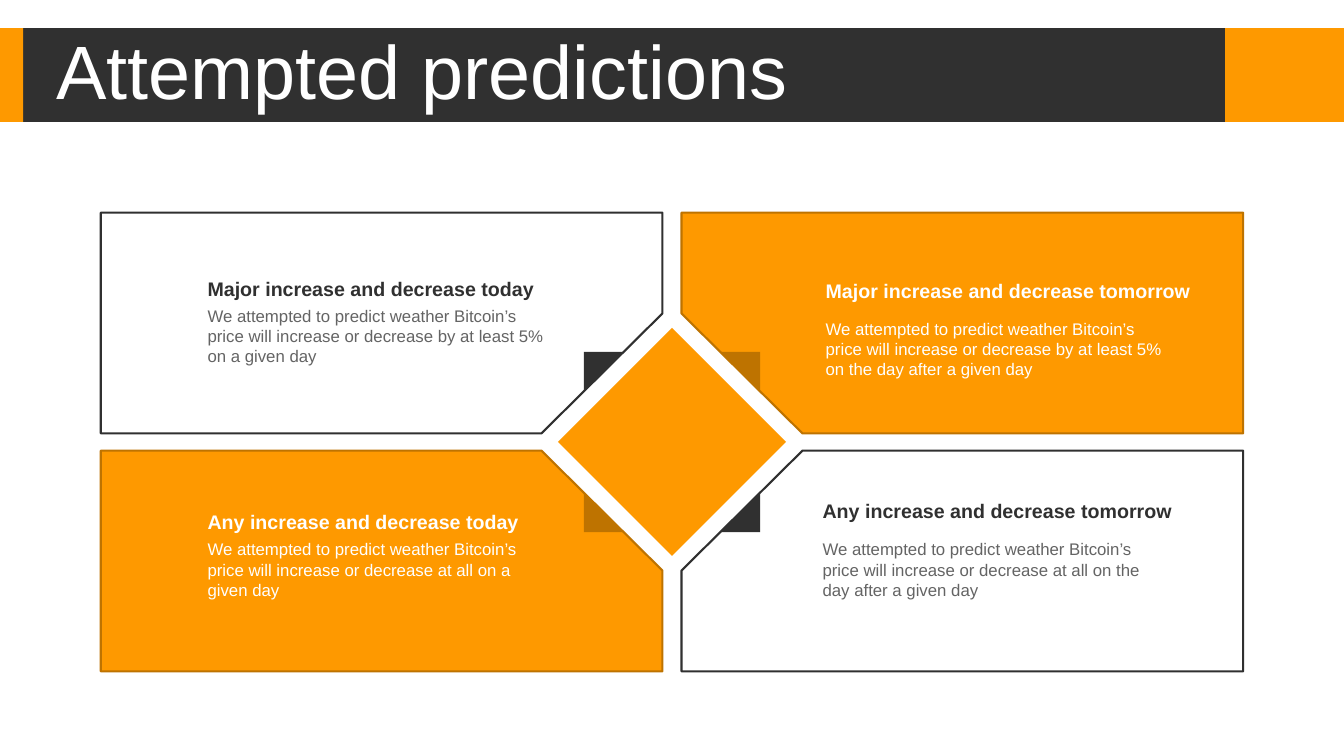
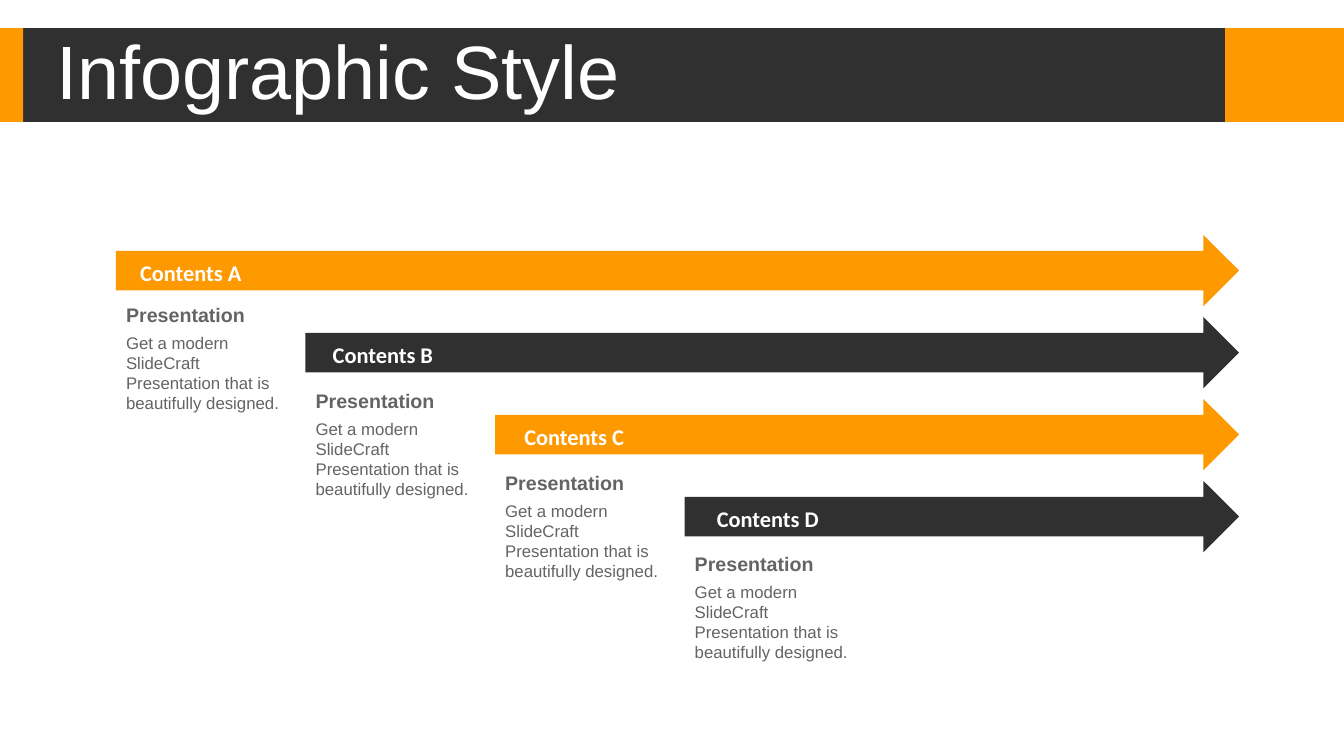
from dataclasses import dataclass

from pptx import Presentation
from pptx.dml.color import RGBColor
from pptx.enum.shapes import MSO_SHAPE
from pptx.enum.text import MSO_ANCHOR
from pptx.util import Inches, Pt

RECT = MSO_SHAPE.RECTANGLE
CORNER = MSO_SHAPE.RIGHT_TRIANGLE
ARROW = MSO_SHAPE.RIGHT_ARROW
TOP, MIDDLE = MSO_ANCHOR.TOP, MSO_ANCHOR.MIDDLE


@dataclass(frozen=True)
class Theme:
    orange: str = "FE9900"
    amber: str = "BE7300"
    dark: str = "303030"
    gray: str = "646464"
    white: str = "FFFFFF"
    font: str = "Arial"
    label_font: str = "Calibri"
    title: int = 54
    label: int = 16
    head: int = 14
    body: int = 12
    edge: float = 1.5


THEME = Theme()
WIDTH, HEIGHT = 13.33, 7.5

# Heading, body, text left, heading top and body top inside each panel.
PANELS = [
    ("Major increase and decrease today",
     "We attempted to predict weather Bitcoin’s price will increase or "
     "decrease by at least 5% on a given day", 0.96, 0.58, 0.87),
    ("Major increase and decrease tomorrow",
     "We attempted to predict weather Bitcoin’s price will increase or "
     "decrease by at least 5% on the day after a given day", 1.33, 0.6, 1),
    ("Any increase and decrease today",
     "We attempted to predict weather Bitcoin’s price will increase or "
     "decrease at all on a given day", 0.96, 0.54, 0.83),
    ("Any increase and decrease tomorrow",
     "We attempted to predict weather Bitcoin’s price will increase or "
     "decrease at all on the day after a given day", 1.3, 0.43, 0.83),
]

# Label, label indent and note drop from the arrow's corner.
STEPS = [
    ("Contents A", 0.24, 0.63),
    ("Contents B", 0.27, 0.67),
    ("Contents C", 0.29, 0.67),
    ("Contents D", 0.32, 0.66),
]
NOTE = "Get a modern SlideCraft Presentation that is beautifully designed."


def color(code):
    return RGBColor.from_string(code)


def paint(shape, fill=None, line=None):
    shape.shadow.inherit = False
    if fill:
        shape.fill.solid()
        shape.fill.fore_color.rgb = color(fill)
    else:
        shape.fill.background()
    if line:
        shape.line.color.rgb = color(line)
        shape.line.width = Pt(THEME.edge)
    else:
        shape.line.fill.background()


def draw(slide, kind, box, fill, turn=0):
    shape = slide.shapes.add_shape(kind, *map(Inches, box))
    paint(shape, fill)
    shape.rotation = turn
    return shape


def write(slide, box, text, size, ink, bold=False, font=THEME.font,
          inset=0.1, anchor=TOP, spacing=None):
    frame = slide.shapes.add_textbox(*map(Inches, box)).text_frame
    frame.word_wrap = True
    frame.vertical_anchor = anchor
    frame.margin_left = frame.margin_right = Inches(inset)
    para = frame.paragraphs[0]
    if spacing:
        para.line_spacing = spacing
    run = para.add_run()
    run.text = text
    run.font.size = Pt(size)
    run.font.name = font
    run.font.bold = bold
    run.font.color.rgb = color(ink)


def banner(slide, title):
    top, high, split = 0.28, 0.93, 12.15
    draw(slide, RECT, (split, top, WIDTH - split, high), THEME.orange)
    draw(slide, RECT, (0, top, split, high), THEME.dark)
    draw(slide, RECT, (0, top, 0.23, high), THEME.orange)
    write(slide, (0.46, top + 0.07, 9.7, 0.79), title, THEME.title,
          THEME.white, anchor=MIDDLE, spacing=0.9)


def panel(slide, box, right, low, item):
    """Draw a panel whose cut corner faces the middle of the grid."""
    left, top, wide, high = box
    head, body, indent, head_top, body_top = item
    solid = right != low
    line = THEME.amber if solid else THEME.dark

    def spot(x, y):
        return (Inches(left + (wide - x if right else x)),
                Inches(top + (high - y if low else y)))

    path = slide.shapes.build_freeform(*spot(0, 0), scale=1.0)
    path.add_line_segments([spot(wide, 0), spot(wide, 1),
                            spot(wide - 1.2, high), spot(0, high)])
    paint(path.convert_to_shape(), THEME.orange if solid else None, line)

    side, gap_x, gap_y = 0.4, 4.79, 1.38
    x = wide - side - gap_x if right else gap_x
    y = high - side - gap_y if low else gap_y
    turn = {(0, 0): 90, (1, 0): 180, (1, 1): 270, (0, 1): 0}[right, low]
    draw(slide, CORNER, (left + x, top + y, side, side), line, turn)

    write(slide, (left + indent, top + head_top, 3.82, 0.34), head,
          THEME.head, THEME.white if solid else THEME.dark, bold=True,
          anchor=MIDDLE)
    write(slide, (left + indent, top + body_top, 3.62, 0.71), body,
          THEME.body, THEME.white if solid else THEME.gray)


def matrix(slide, box):
    """Lay out four panels around a central diamond."""
    left, top, wide, high = box
    cell_w, cell_h = 5.57, 2.19
    for index, item in enumerate(PANELS):
        low, right = divmod(index, 2)
        place = (left + right * (wide - cell_w),
                 top + low * (high - cell_h), cell_w, cell_h)
        panel(slide, place, right, low, item)
    side = 1.6
    draw(slide, RECT, (left + (wide - side) / 2, top + (high - side) / 2,
                       side, side), THEME.orange, 45)


def step(slide, box, fill, item):
    """Draw an arrow with its label, and a note under its tail."""
    left, top, wide, high = box
    label, indent, drop = item
    arrow = draw(slide, ARROW, box, fill)
    arrow.adjustments[0] = 0.55
    arrow.adjustments[1] = 0.5
    note_w, note_x = 1.65, left + 0.1
    write(slide, (note_x, top + drop, note_w, 0.34), "Presentation",
          THEME.head, THEME.gray, bold=True, inset=0)
    write(slide, (note_x, top + drop + 0.29, note_w, 0.91), NOTE,
          THEME.body, THEME.gray, inset=0)
    write(slide, (left + indent, top + 0.19, note_w, 0.37), label,
          THEME.label, THEME.white, bold=True, font=THEME.label_font,
          inset=0, anchor=MIDDLE)


def stairs(slide, box):
    """Set the arrows as steps that all end at the right edge."""
    left, top, wide, high = box
    shift, thick = 1.88, 0.71
    rise = (high - thick) / (len(STEPS) - 1)
    for index, item in enumerate(STEPS):
        place = (left + index * shift, top + index * rise,
                 wide - index * shift, thick)
        step(slide, place, THEME.dark if index % 2 else THEME.orange, item)


def main():
    deck = Presentation()
    deck.slide_width, deck.slide_height = Inches(WIDTH), Inches(HEIGHT)
    pages = [
        ("Attempted predictions", matrix, (1, 2.11, 11.33, 4.55)),
        ("Infographic Style", stairs, (1.15, 2.33, 11.14, 3.15)),
    ]
    for title, fill_page, box in pages:
        slide = deck.slides.add_slide(deck.slide_layouts[6])
        banner(slide, title)
        fill_page(slide, box)
    deck.save("out.pptx")


if __name__ == "__main__":
    main()
